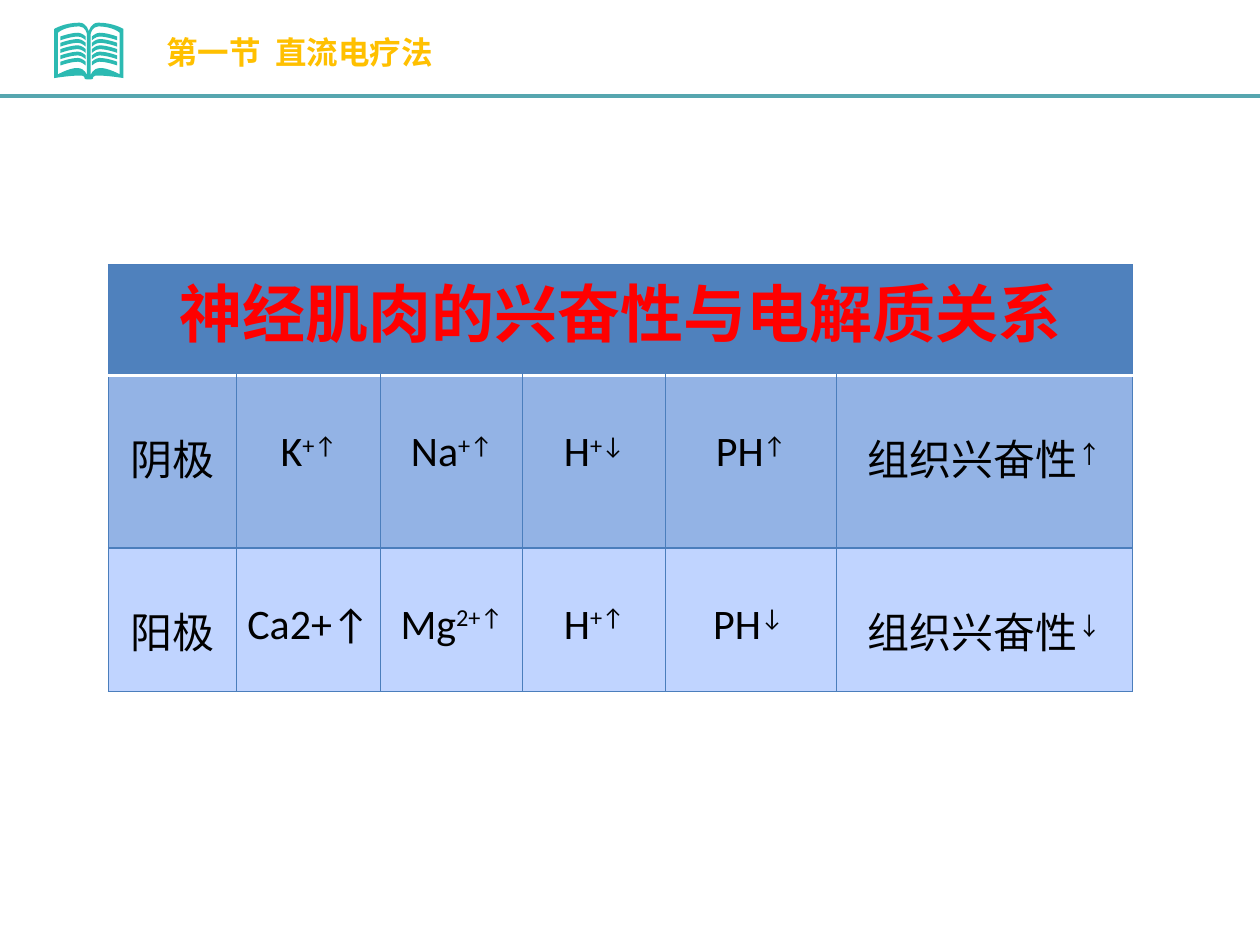
from dataclasses import dataclass

from lxml.etree import SubElement
from pptx import Presentation
from pptx.dml.color import RGBColor
from pptx.enum.shapes import MSO_CONNECTOR as Connector
from pptx.enum.text import MSO_ANCHOR as Anchor, MSO_AUTO_SIZE as AutoSize, PP_ALIGN as Align
from pptx.oxml.ns import qn
from pptx.util import Inches, Pt

COLORS = {
    "rule": "56A6AF", "book": "2CBAB2", "heading": "FFC000",
    "table_title": "FF0000", "text": "000000", "border": "4B7EBC", "divider": "FFFFFF",
    "header": "4F81BD", "cathode": "93B3E5", "anode": "C0D4FF",
}
LATIN, CHINESE = "Calibri", "Noto Sans CJK SC"
COLUMN_WIDTHS = (1.02, 1.14, 1.13, 1.13, 1.36, 2.35)
Point = tuple[float, float]


@dataclass
class Entry:
    text: str
    superscript: str = ""


@dataclass
class ElectrodeRow:
    fill: str
    height: float
    entries: list[Entry]


@dataclass
class Contour:
    """A start point, then lines (one point) and cubic curves (three points)."""
    start: Point
    segments: list[tuple[Point, ...]]

    def moved(self, dy: float) -> "Contour":
        return Contour((self.start[0], self.start[1] + dy),
                       [tuple((x, y + dy) for x, y in segment) for segment in self.segments])

    def mirrored(self) -> "Contour":
        """The outline reflected about the spine and drawn backwards."""
        ends = [self.start] + [segment[-1] for segment in self.segments]
        segments = [tuple(flip(point) for point in (*reversed(segment[:-1]), begin))
                    for begin, segment in zip(reversed(ends[:-1]), reversed(self.segments))]
        return Contour(flip(ends[-1]), segments)


HEADER_HEIGHT = 0.88
ROWS = [
    ElectrodeRow("cathode", 1.37, [
        Entry("阴极"), Entry("K", "+↑"), Entry("Na", "+↑"),
        Entry("H", "+↓"), Entry("PH", "↑"), Entry("组织兴奋性", "↑")]),
    ElectrodeRow("anode", 1.14, [
        Entry("阳极"), Entry("Ca2+↑"), Entry("Mg", "2+↑"),
        Entry("H", "+↑"), Entry("PH", "↓ "), Entry("组织兴奋性", "↓")]),
]

# Left half of the open book; the right half is its mirror image
SPINE = 0.705
COVER = Contour((SPINE, 0.25), [
    ((SPINE, 0.25), (0.69, 0.18), (0.63, 0.18)),
    ((0.51, 0.18), (0.43, 0.23), (0.43, 0.23)),
    ((0.43, 0.62),),
    ((0.43, 0.62), (0.55, 0.6), (0.63, 0.6)),
    ((0.65, 0.6), (0.66, 0.6), (0.67, 0.61)),
    ((0.67, 0.61), (0.67, 0.61), (0.67, 0.62)),
    ((0.67, 0.63), (0.68, 0.63), (SPINE, 0.63))])
PAGE = Contour((0.69, 0.6), [
    ((0.69, 0.6), (0.68, 0.54), (0.61, 0.54)),
    ((0.55, 0.54), (0.46, 0.59), (0.46, 0.59)),
    ((0.46, 0.26),),
    ((0.46, 0.26), (0.51, 0.21), (0.63, 0.21)),
    ((0.68, 0.21), (0.69, 0.27), (0.69, 0.27))])
PRINT_LINE = Contour((0.62, 0.26), [
    ((0.56, 0.26), (0.48, 0.29), (0.48, 0.29)),
    ((0.48, 0.32),),
    ((0.48, 0.32), (0.56, 0.29), (0.62, 0.29)),
    ((0.65, 0.29), (0.68, 0.32), (0.68, 0.32)),
    ((0.68, 0.29),),
    ((0.68, 0.29), (0.65, 0.26), (0.62, 0.26))])
PRINT_LINES, PRINT_STEP = 5, 0.05


def flip(point: Point) -> Point:
    return 2 * SPINE - point[0], point[1]


def rgb(name: str) -> RGBColor:
    return RGBColor.from_string(COLORS[name])


def apply(target, values: dict) -> None:
    for name, value in values.items():
        setattr(target, name, value)


def add_run(paragraph, text: str, color: str, latin: str = LATIN, baseline: int = 0, **font) -> None:
    run = paragraph.add_run()
    run.text = text
    apply(run.font, {"name": latin, **font})
    run.font.color.rgb = rgb(color)
    properties = run._r.get_or_add_rPr()
    SubElement(properties, qn("a:ea")).set("typeface", CHINESE)
    if baseline:
        properties.set("baseline", str(baseline * 1000))


def draw_contours(slide, contours: list[Contour]):
    """Lay all points as lines, then join each group of three into a curve."""
    builder = slide.shapes.build_freeform()
    for index, contour in enumerate(contours):
        start = [Inches(value) for value in contour.start]
        if index == 0:
            builder = slide.shapes.build_freeform(*start)
        else:
            builder.move_to(*start)
        builder.add_line_segments([(Inches(x), Inches(y))
                                   for segment in contour.segments for x, y in segment])
    shape = builder.convert_to_shape()
    outline = shape._element.find(f".//{qn('a:path')}")
    moves = outline.findall(qn("a:moveTo"))
    for move, contour in zip(moves, contours):
        line = move.getnext()
        for segment in contour.segments:
            if len(segment) == 3:
                line.tag = qn("a:cubicBezTo")
                for _ in range(2):
                    control = line.getnext()
                    line.append(control[0])
                    outline.remove(control)
            line = line.getnext()
    return shape


def draw_book(slide) -> None:
    right_cover = COVER.mirrored()
    cover = Contour(COVER.start, COVER.segments + right_cover.segments)
    left = [PAGE] + [PRINT_LINE.moved(row * PRINT_STEP) for row in range(PRINT_LINES)]
    book = draw_contours(slide, [cover] + left + [contour.mirrored() for contour in left])
    book.shadow.inherit = False
    book.fill.solid()
    book.fill.fore_color.rgb = rgb("book")
    book.line.fill.background()


def draw_rule(slide) -> None:
    rule = slide.shapes.add_connector(
        Connector.STRAIGHT, 0, Inches(0.76), Inches(10), Inches(0.76))
    rule.line.color.rgb = rgb("rule")
    rule.line.width = Pt(2)
    SubElement(rule._element.spPr, qn("a:effectLst"))


def draw_heading(slide) -> None:
    title = slide.shapes.title
    apply(title, {"left": Inches(1.22), "top": Inches(0.21),
                  "width": Inches(2.37), "height": Inches(0.4)})
    apply(title.text_frame, {"word_wrap": False, "auto_size": AutoSize.SHAPE_TO_FIT_TEXT,
                             "vertical_anchor": Anchor.TOP})
    paragraph = title.text_frame.paragraphs[0]
    paragraph.alignment = Align.LEFT
    add_run(paragraph, "第一节  直流电疗法", "heading", CHINESE, size=Pt(18), bold=True)


def format_cell(cell, fill: str, margin_top: float = 0, **edges: tuple[str, float]) -> None:
    apply(cell, {"margin_left": 0, "margin_right": 0, "margin_bottom": 0,
                 "margin_top": Inches(margin_top), "vertical_anchor": Anchor.TOP})
    properties = cell._tc.get_or_add_tcPr()
    for side in ("L", "R", "T", "B"):
        color, width = edges.get(side, ("border", 0.75))
        line = SubElement(properties, qn(f"a:ln{side}"), w=str(Pt(width)))
        SubElement(SubElement(line, qn("a:solidFill")), qn("a:srgbClr"), val=COLORS[color])
    cell.fill.solid()
    cell.fill.fore_color.rgb = rgb(fill)
    cell.text_frame.paragraphs[0].alignment = Align.CENTER


def draw_table(slide) -> None:
    heights = [HEADER_HEIGHT] + [row.height for row in ROWS]
    table = slide.shapes.add_table(
        len(heights), len(COLUMN_WIDTHS), Inches(0.86), Inches(2.1),
        Inches(sum(COLUMN_WIDTHS)), Inches(sum(heights))).table
    for column, width in zip(table.columns, COLUMN_WIDTHS):
        column.width = Inches(width)
    for row, height in zip(table.rows, heights):
        row.height = Inches(height)

    # Header across all columns
    divider = ("divider", 2)
    for cell in table.rows[0].cells:
        format_cell(cell, "header", B=divider)
    header = table.cell(0, 0)
    header.merge(table.cell(0, len(COLUMN_WIDTHS) - 1))
    add_run(header.text_frame.paragraphs[0], "神经肌肉的兴奋性与电解质关系",
            "table_title", size=Pt(36), bold=True)

    # One row per electrode
    for index, row in enumerate(ROWS, start=1):
        edges = {"T": divider} if index == 1 else {}
        for cell, entry in zip(table.rows[index].cells, row.entries):
            format_cell(cell, row.fill, margin_top=0.41, **edges)
            for text, baseline in ((entry.text, 0), (entry.superscript, 30)):
                if text:
                    add_run(cell.text_frame.paragraphs[0], text, "text",
                            baseline=baseline, size=Pt(24), bold=False)


def main() -> None:
    presentation = Presentation()
    apply(presentation, {"slide_width": Inches(10), "slide_height": Inches(7.5)})
    slide = presentation.slides.add_slide(presentation.slide_layouts[5])
    for draw in (draw_rule, draw_book, draw_table, draw_heading):
        draw(slide)
    presentation.save("out.pptx")


if __name__ == "__main__":
    main()
